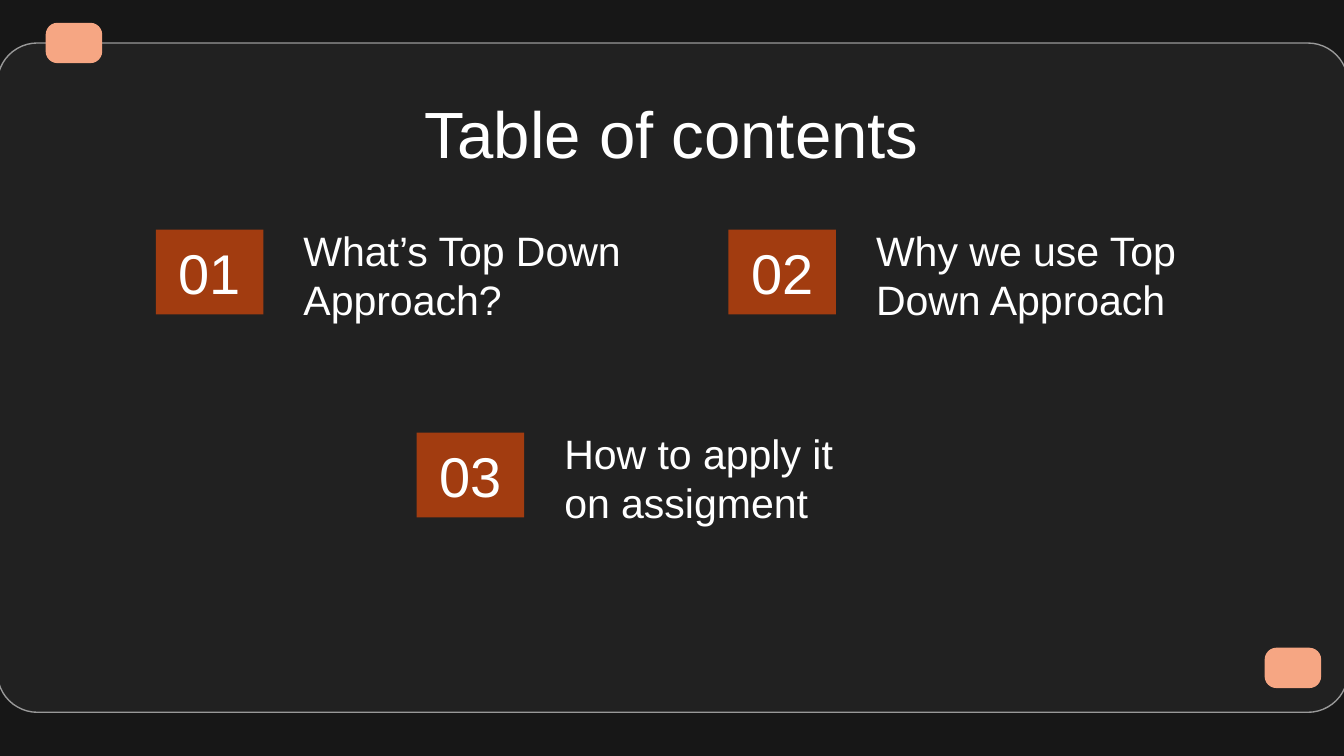
"""Build a dark table of contents slide with three numbered topics."""
import pptx
import pptx.dml.color
import pptx.enum.shapes
import pptx.enum.text
import pptx.util

Inches = pptx.util.Inches
RGBColor = pptx.dml.color.RGBColor
Shape = pptx.enum.shapes.MSO_SHAPE
Anchor = pptx.enum.text.MSO_ANCHOR
Align = pptx.enum.text.PP_ALIGN

BLACK = RGBColor(0x17, 0x17, 0x17)
PANEL = RGBColor(0x21, 0x21, 0x21)
GRAY = RGBColor(0x99, 0x99, 0x99)
PEACH = RGBColor(0xF6, 0xA6, 0x83)
RUST = RGBColor(0xA2, 0x3C, 0x10)
WHITE = RGBColor(0xFF, 0xFF, 0xFF)


def add_box(kind, left, top, width, height, fill):
    box = slide.shapes.add_shape(
        kind, Inches(left), Inches(top), Inches(width), Inches(height))
    box.shadow.inherit = False
    box.fill.solid()
    box.fill.fore_color.rgb = fill
    box.line.fill.background()
    return box


def set_text(shape, text, size, align, anchor):
    frame = shape.text_frame
    frame.word_wrap = True
    frame.vertical_anchor = anchor
    frame.margin_left = frame.margin_right = Inches(0.1)
    frame.margin_top = frame.margin_bottom = Inches(0.1)
    para = frame.paragraphs[0]
    para.text = text
    para.alignment = align
    para.font.name = "Arial"
    para.font.size = pptx.util.Pt(size)
    para.font.color.rgb = WHITE


deck = pptx.Presentation()
deck.slide_width = Inches(10)
deck.slide_height = deck.slide_width * 9 // 16
slide = deck.slides.add_slide(deck.slide_layouts[6])
slide.background.fill.solid()
slide.background.fill.fore_color.rgb = BLACK

panel = add_box(Shape.ROUNDED_RECTANGLE, -0.02, 0.32, 10.05, 4.98, PANEL)
panel.adjustments[0] = 0.06
panel.line.color.rgb = GRAY
panel.line.width = pptx.util.Pt(0.75)

for left, top in [(9.41, 4.82), (0.34, 0.17)]:
    tab = add_box(Shape.ROUNDED_RECTANGLE, left, top, 0.42, 0.3, PEACH)
    tab.adjustments[0] = 0.29

title = slide.shapes.add_textbox(
    Inches(0.78), Inches(0.59), Inches(8.44), Inches(0.63))
set_text(title, "Table of contents", 35, Align.CENTER, Anchor.TOP)

topics = [
    (1.16, 1.71, 2.84, "What’s Top Down Approach?"),
    (5.42, 1.71, 2.73, "Why we use Top Down Approach"),
    (3.1, 3.22, 2.42, "How to apply it on assigment"),
]
for count, (left, top, width, text) in enumerate(topics, 1):
    badge = add_box(Shape.RECTANGLE, left, top, 0.8, 0.63, RUST)
    set_text(badge, f"{count:02}", 30, Align.CENTER, Anchor.MIDDLE)
    label = slide.shapes.add_textbox(
        Inches(left + 1), Inches(top - 0.12), Inches(width), Inches(0.92))
    set_text(label, text, 22, Align.LEFT, Anchor.BOTTOM)

deck.save("out.pptx")
